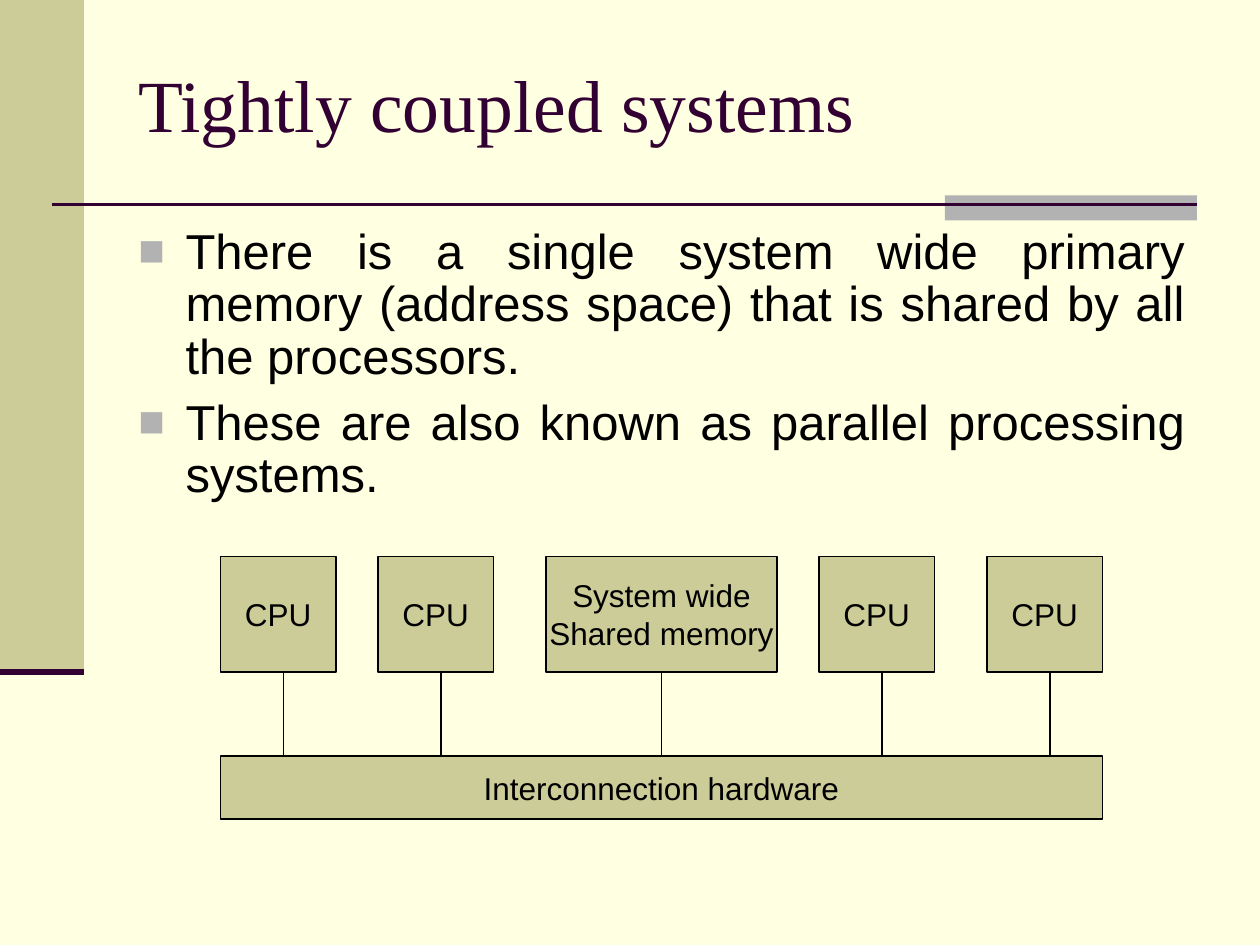
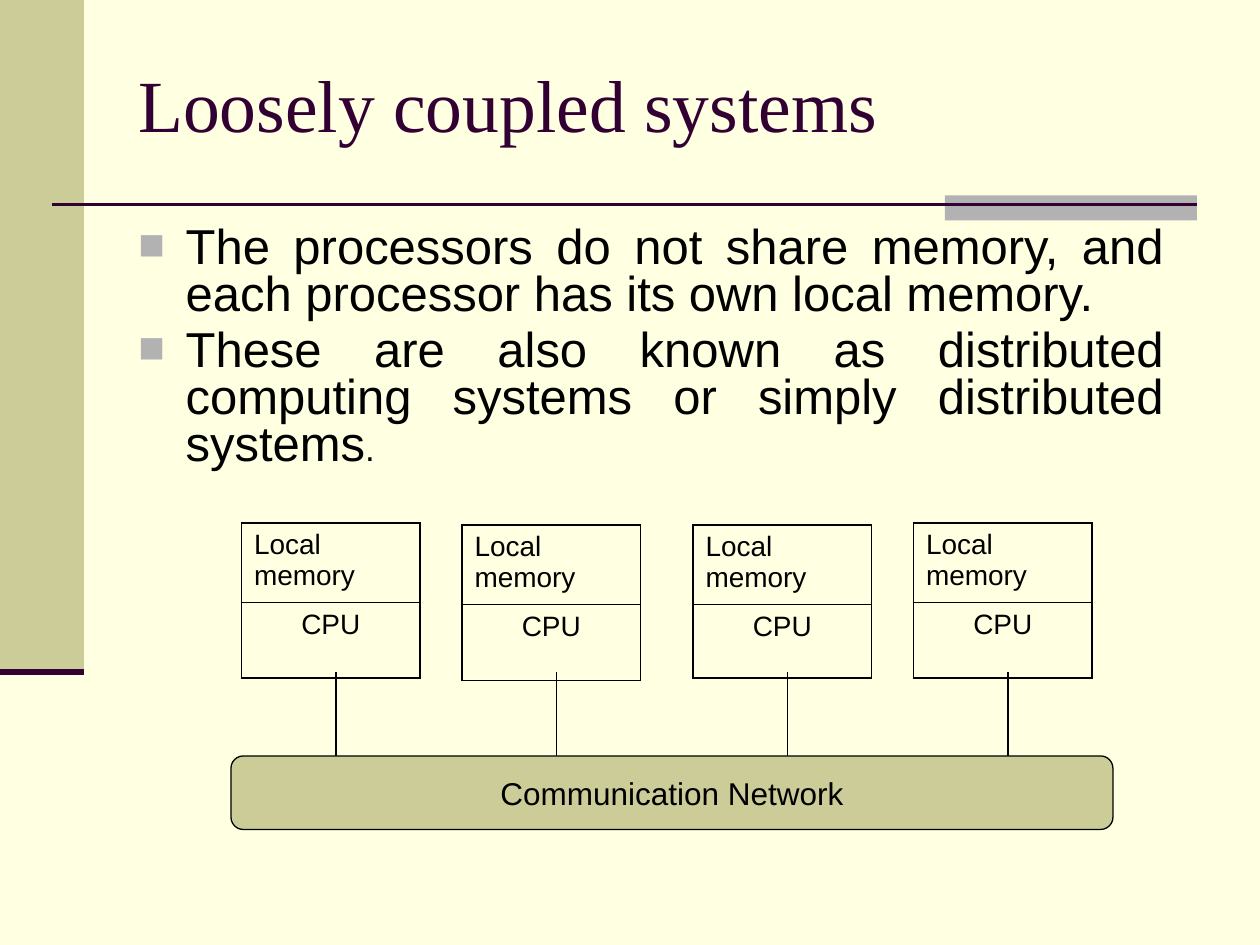
from lxml import etree
from pptx import Presentation
from pptx import util as u
from pptx.dml.color import RGBColor
from pptx.enum import shapes, text
from pptx.oxml import ns

PX = 7620  # EMU per px, 120 px to the inch
COLORS = {"paper": "FFFFE1", "khaki": "CCCC99", "gray": "B2B2B2",
          "plum": "330033", "ink": "000000"}
SANS, SERIF = "Arial", "Times New Roman"
ALIGN, ANCHOR = text.PP_ALIGN, text.MSO_ANCHOR
SHAPE = shapes.MSO_SHAPE
BUS_TOP = 720


def px(*lengths):
    return [u.Emu(length * PX) for length in lengths]


def rgb(name):
    return RGBColor.from_string(COLORS[name])


def child(parent, tag, **attributes):
    return etree.SubElement(parent, ns.qn(tag), attributes)


def add_run(paragraph, words, size, font=SANS, color="ink"):
    run = paragraph.add_run()
    run.text = words
    run.font.size = u.Pt(size)
    run.font.name = font
    run.font.color.rgb = rgb(color)


def add_line(slide, start, end, color="ink", width=0.75):
    line = slide.shapes.add_connector(
        shapes.MSO_CONNECTOR.STRAIGHT, *px(*start, *end))
    line.line.color.rgb = rgb(color)
    line.line.width = u.Pt(width)
    child(line._element.spPr, "a:effectLst")


def add_block(slide, box, fill, labels=(), kind=SHAPE.RECTANGLE):
    """Filled shape; it is outlined when it carries label lines."""
    block = slide.shapes.add_shape(kind, *px(*box))
    block.shadow.inherit = False
    block.fill.solid()
    block.fill.fore_color.rgb = rgb(fill)
    if not labels:
        block.line.fill.background()
        return
    block.line.color.rgb = rgb("ink")
    block.line.width = u.Pt(0.75)
    frame = block.text_frame
    frame.word_wrap = False
    frame.vertical_anchor = ANCHOR.MIDDLE
    for i, label in enumerate(labels):
        paragraph = frame.add_paragraph() if i else frame.paragraphs[0]
        paragraph.alignment = ALIGN.CENTER
        add_run(paragraph, label, 18)


def add_text_frame(slide, box, anchor):
    frame = slide.shapes.add_textbox(*px(*box)).text_frame
    frame.word_wrap = True
    frame.vertical_anchor = anchor
    return frame


def add_base(prs, title):
    """Background, side band, title and title rule."""
    slide = prs.slides.add_slide(prs.slide_layouts[6])
    slide.background.fill.solid()
    slide.background.fill.fore_color.rgb = rgb("paper")
    add_block(slide, (0, 0, 80, 640), "khaki")
    add_block(slide, (900, 186, 240, 24), "gray")
    add_line(slide, (50, 195), (1140, 195), "plum", 1.5)
    add_line(slide, (0, 640), (80, 640), "plum", 3.5)
    frame = add_text_frame(slide, (120, 36, 1020, 124), ANCHOR.MIDDLE)
    add_run(frame.paragraphs[0], title, 42, SERIF, "plum")
    return slide


def add_bullets(slide, box, items, line_spacing):
    """Justified bullets; each item is (space before, [(words, size)])."""
    frame = add_text_frame(slide, box, ANCHOR.TOP)
    for i, (space, runs) in enumerate(items):
        paragraph = frame.add_paragraph() if i else frame.paragraphs[0]
        paragraph.alignment = ALIGN.JUSTIFY
        paragraph.line_spacing = line_spacing
        paragraph.space_before = u.Pt(space)
        props = paragraph._p.get_or_add_pPr()
        props.set("marL", str(45 * PX))
        props.set("indent", str(-45 * PX))
        child(child(props, "a:buClr"), "a:srgbClr", val=COLORS["gray"])
        child(props, "a:buSzPct", val="90000")
        child(props, "a:buFont", typeface=SANS)
        child(props, "a:buChar", char="■")
        for words, size in runs:
            add_run(paragraph, words, size)


def add_node_table(slide, left, top, row_heights):
    """One node: local memory above its CPU."""
    width = 170
    table = slide.shapes.add_table(
        2, 1, *px(left, top, width, sum(row_heights))).table
    table.first_row = table.horz_banding = False
    rows = (("Local memory", ALIGN.LEFT, {"T": 1.08, "B": 0.45}),
            ("CPU", ALIGN.CENTER, {"T": 0.45, "B": 1.08}))
    for i, (label, alignment, edges) in enumerate(rows):
        table.rows[i].height = px(row_heights[i])[0]
        cell = table.cell(i, 0)
        props = cell._tc.get_or_add_tcPr()
        for side, weight in {"L": 1.08, "R": 1.08, **edges}.items():
            border = child(props, "a:ln" + side, w=str(u.Pt(weight)))
            child(child(border, "a:solidFill"), "a:srgbClr", val=COLORS["ink"])
        cell.fill.background()
        paragraph = cell.text_frame.paragraphs[0]
        paragraph.alignment = alignment
        paragraph.space_before = u.Pt(4)
        add_run(paragraph, label, 16)


def draw_shared_memory(slide, left, top):
    """CPUs and shared memory joined by the interconnection hardware."""
    side = 110
    memory = ("System wide", "Shared memory")
    units = [(0, side, 60, ("CPU",)), (150, side, 60, ("CPU",)),
             (310, 2 * side, side, memory),
             (570, side, 60, ("CPU",)), (730, side, 60, ("CPU",))]
    add_block(slide, (left, BUS_TOP, 840, 60), "khaki",
              ("Interconnection hardware",))
    for offset, width, link, labels in units:
        x = left + offset
        add_block(slide, (x, top, width, side), "khaki", labels)
        add_line(slide, (x + link, top + side), (x + link, BUS_TOP))


def draw_network(slide, left, top):
    """Nodes with their own memory on a communication network."""
    nodes = [(10, 0, (70, 72)), (220, 2, (70, 72)),
             (440, 2, (70, 70)), (650, 0, (70, 72))]
    for offset, drop, row_heights in nodes:
        x = left + offset
        add_line(slide, (x + 90, 640), (x + 90, BUS_TOP))
        add_node_table(slide, x, top + drop, row_heights)
    add_block(slide, (left, BUS_TOP, 840, 70), "khaki",
              ("Communication Network",), SHAPE.ROUNDED_RECTANGLE)


def main():
    prs = Presentation()
    prs.slide_width, prs.slide_height = px(1200, 900)

    tight = add_base(prs, "Tightly coupled systems")
    add_bullets(tight, (120, 210, 1020, 290), [
        (7, [("There is a single system wide primary memory (address space) "
              "that is shared by all the processors.", 28)]),
        (7, [("These are also known as parallel processing systems.", 28)]),
    ], 0.9)
    draw_shared_memory(tight, 210, 530)

    loose = add_base(prs, "Loosely coupled systems")
    add_bullets(loose, (120, 210, 1000, 260), [
        (7, [("The processors do not share memory, and each processor has "
              "its own local memory.", 28)]),
        (5, [("These are also known as distributed computing systems or "
              "simply distributed systems", 28), (".", 20)]),
    ], 0.8)
    draw_network(loose, 220, 498)

    prs.save("out.pptx")


if __name__ == "__main__":
    main()
